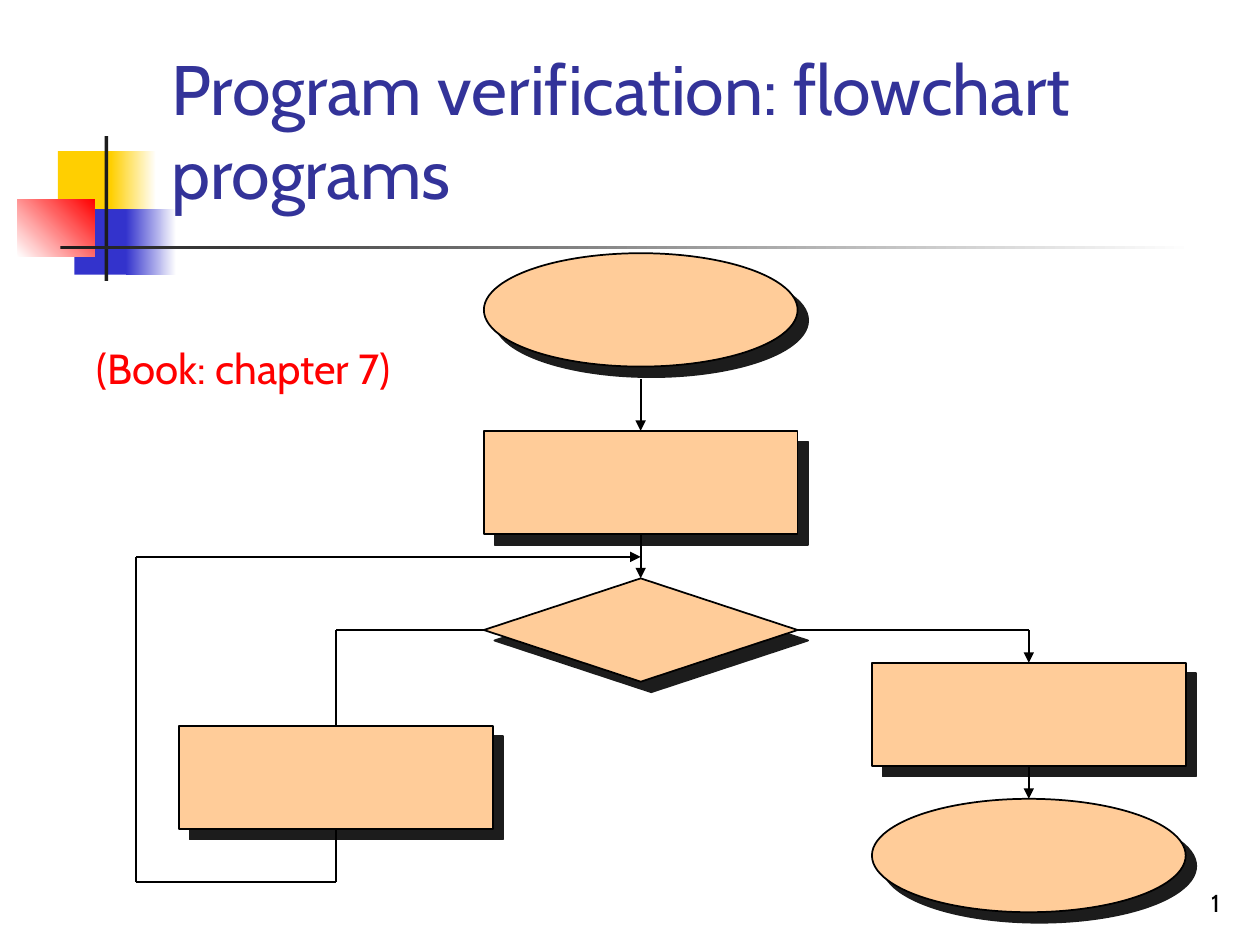
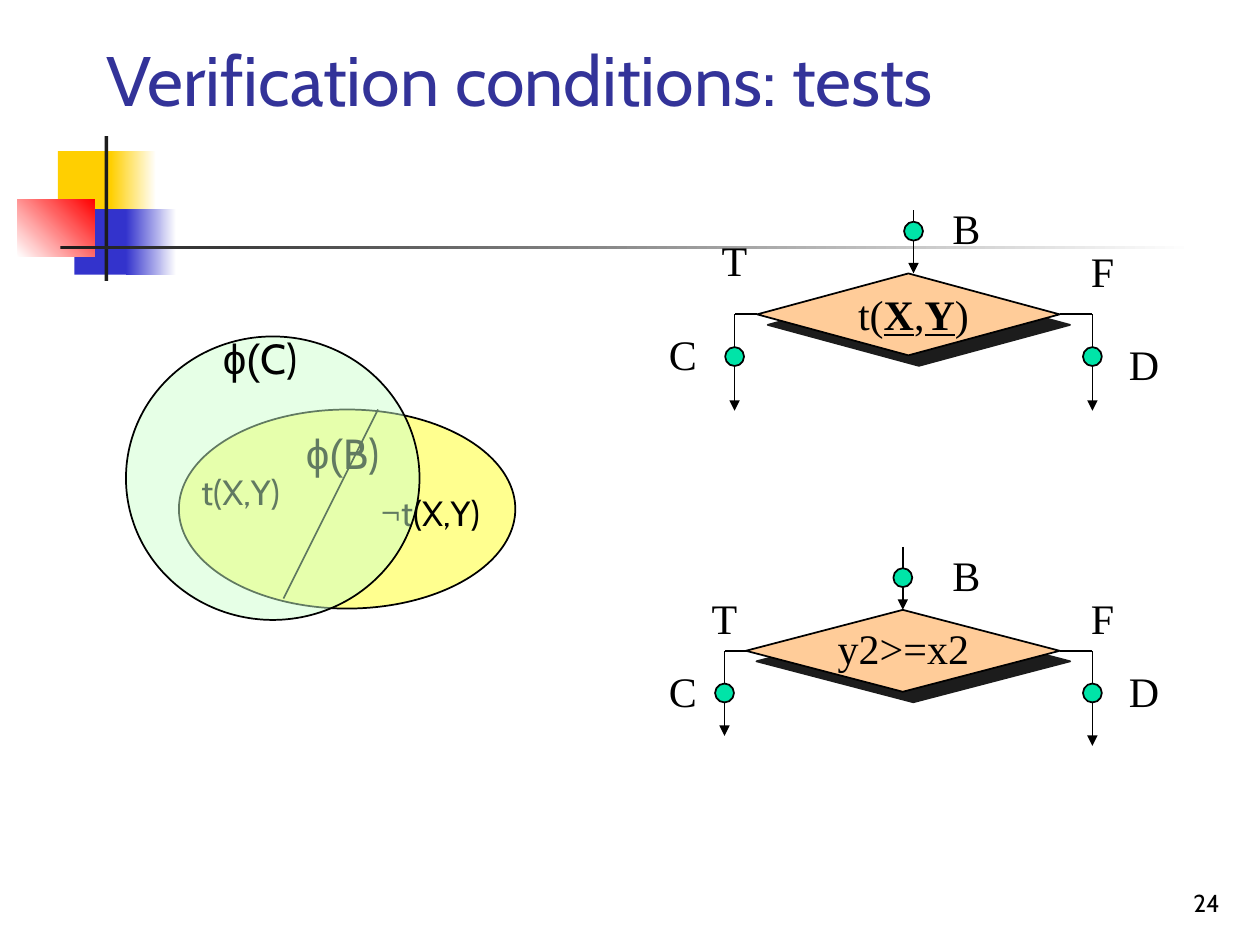
from dataclasses import dataclass
from itertools import pairwise
from typing import NamedTuple

from lxml.etree import SubElement
from pptx import Presentation
from pptx.dml.color import RGBColor
from pptx.enum.shapes import MSO_CONNECTOR, MSO_SHAPE as Preset
from pptx.enum.text import MSO_ANCHOR as Anchor, MSO_AUTO_SIZE, PP_ALIGN as Align
from pptx.oxml.ns import qn
from pptx.util import Inches, Pt

COLORS = {
    "black": "000000", "white": "FFFFFF", "ink": "1C1C1C", "title": "333399",
    "gold": "FFCF01", "blue": "3333CC", "red": "FF0000", "node": "FFCC99",
    "dot": "00E4A8", "yellow": "FFFF00", "mint": "CCFFCC",
}
SANS, SERIF, SYMBOL = "Cabin", "Times New Roman", "Arial"
NODE_WIDTH, NODE_HEIGHT, OVAL_HEIGHT = 2.49, 0.82, 0.9
TEST_HEIGHT, DOT_SIZE = 0.65, 0.15


class Box(NamedTuple):
    left: float
    top: float
    width: float
    height: float

    def lengths(self) -> list:
        return [Inches(value) for value in self]


class Run(NamedTuple):
    text: str
    font: str | None = None
    strong: bool = False


class Joint(NamedTuple):
    shape: object
    site: int  # 0 top, 1 left, 2 bottom, 3 right


class Decoration(NamedTuple):
    box: Box
    color: str
    fade_to: str | None = None
    angle: int = 0


@dataclass
class Test:
    diamond: Box
    condition: list[Run]
    condition_box: Box
    true_x: float
    true_end: float
    false_end: float
    entry_dot_top: float
    labels: dict[str, tuple[float, float]]
    entry_x: float | None = None  # None: enters at the top corner


DECORATIONS = [
    Decoration(Box(0.46, 1.2, 0.48, 0.52), "gold"),
    Decoration(Box(0.88, 1.2, 0.36, 0.52), "gold", "white"),
    Decoration(Box(0.59, 1.66, 0.46, 0.52), "blue"),
    Decoration(Box(1, 1.66, 0.4, 0.52), "blue", "white"),
    Decoration(Box(0.14, 1.58, 0.61, 0.46), "white", "red", 45),
    Decoration(Box(0.83, 1.08, 0.03, 1.15), "ink"),
    Decoration(Box(0.48, 1.95, 9, 0.03), "ink", "white"),
]
LABEL_WIDTHS = {"B": 0.42, "C": 0.42, "D": 0.44, "F": 0.38, "T": 0.4}
FALSE_X = 8.67
TESTS = [
    Test(
        Box(6.01, 2.17, 2.4, TEST_HEIGHT),
        [Run("t("), Run("X", strong=True), Run(","), Run("Y", strong=True), Run(")")],
        Box(6.71, 2.24, 1.08, 0.5),
        true_x=5.83, true_end=3.26, false_end=3.26, entry_dot_top=1.76, entry_x=7.25,
        labels={"B": (7.46, 1.56), "C": (5.21, 2.56), "D": (8.86, 2.64),
                "F": (8.56, 1.9), "T": (5.63, 1.81)},
    ),
    Test(
        Box(5.92, 4.84, NODE_WIDTH, TEST_HEIGHT),
        [Run("y2>=x2")],
        Box(6.55, 4.89, 1.24, 0.5),
        true_x=5.75, true_end=5.84, false_end=5.92, entry_dot_top=4.51,
        labels={"B": (7.46, 4.31), "C": (5.21, 5.23), "D": (8.86, 5.23),
                "F": (8.56, 4.65), "T": (5.55, 4.65)},
    ),
]


def rgb(name: str) -> RGBColor:
    return RGBColor.from_string(COLORS[name])


def add_text(shapes, box: Box, text: str | list[Run], *, font: str = SANS,
             size: float = 24, color: str = "black", align=Align.LEFT,
             anchor=Anchor.TOP, wrap: bool = True, grow: bool = True,
             spacing: float = 1.0) -> None:
    frame = shapes.add_textbox(*box.lengths()).text_frame
    frame.word_wrap = wrap
    frame.vertical_anchor = anchor
    frame.auto_size = MSO_AUTO_SIZE.SHAPE_TO_FIT_TEXT if grow else MSO_AUTO_SIZE.NONE
    paragraph = frame.paragraphs[0]
    paragraph.alignment = align
    paragraph.line_spacing = spacing
    for part in [Run(text)] if isinstance(text, str) else text:
        run = paragraph.add_run()
        run.text = part.text
        run.font.name = part.font or font
        run.font.size = Pt(size)
        run.font.color.rgb = rgb(color)
        run.font.bold = run.font.underline = part.strong


def add_figure(shapes, preset, box: Box, color: str, *, outlined: bool = True,
               shadow: bool = False, opacity: int = 100):
    shape = shapes.add_shape(preset, *box.lengths())
    shape.shadow.inherit = False
    shape.fill.solid()
    shape.fill.fore_color.rgb = rgb(color)
    if outlined:
        shape.line.color.rgb = rgb("black")
        shape.line.width = Pt(1)
    else:
        shape.line.fill.background()
    properties = shape._element.spPr
    if opacity < 100:
        fill_color = properties.find(qn("a:solidFill"))[0]
        SubElement(fill_color, qn("a:alpha"), val=str(opacity * 1000))
    if shadow:
        outer = SubElement(properties.find(qn("a:effectLst")), qn("a:outerShdw"),
                           blurRad="0", dist=str(Pt(8.5)), dir=str(45 * 60000),
                           algn="ctr", rotWithShape="0")
        SubElement(outer, qn("a:srgbClr"), val=COLORS["ink"])
    return shape


def add_route(shapes, points: list[tuple[float, float]], *, arrow: bool = False,
              begin: Joint | None = None, end: Joint | None = None) -> None:
    """Draw straight connectors from point to point, with any arrow at the end."""
    connectors = []
    for start, stop in pairwise(points):
        ends = [Inches(value) for value in (*start, *stop)]
        connector = shapes.add_connector(MSO_CONNECTOR.STRAIGHT, *ends)
        connector.line.color.rgb = rgb("black")
        connector.line.width = Pt(1)
        SubElement(connector._element.spPr, qn("a:effectLst"))
        connectors.append(connector)
    if begin:
        connectors[0].begin_connect(*begin)
    if end:
        connectors[-1].end_connect(*end)
    if arrow:
        line = connectors[-1].line._get_or_add_ln()
        SubElement(line, qn("a:tailEnd"), type="triangle")


def add_base_slide(presentation, title: str, title_box: Box, number: str):
    slide = presentation.slides.add_slide(presentation.slide_layouts[6])
    shapes = slide.shapes
    for item in DECORATIONS:
        shape = add_figure(shapes, Preset.RECTANGLE, item.box, item.color, outlined=False)
        if item.fade_to:
            shape.fill.gradient()
            shape.fill.gradient_angle = item.angle
            for stop, color in zip(shape.fill.gradient_stops, (item.color, item.fade_to)):
                stop.color.rgb = rgb(color)
    add_text(shapes, Box(7.7, 6.83, 2.08, 0.5), number, size=14, align=Align.RIGHT,
             anchor=Anchor.BOTTOM, grow=False)
    add_text(shapes, title_box, title, size=40, color="title", anchor=Anchor.MIDDLE,
             grow=False)
    return slide


def build_flowchart(presentation) -> None:
    shapes = add_base_slide(presentation, "Program verification: flowchart programs",
                            Box(1.26, 0.23, 8.52, 1.6), "1").shapes

    def add_node(preset, left: float, top: float, height: float = NODE_HEIGHT):
        return add_figure(shapes, preset, Box(left, top, NODE_WIDTH, height), "node",
                          shadow=True)

    # Nodes
    main_left, body_left, exit_left = 3.84, 1.42, 6.92
    body = add_node(Preset.RECTANGLE, body_left, 5.76)
    result = add_node(Preset.RECTANGLE, exit_left, 5.26)
    halt = add_node(Preset.OVAL, exit_left, 6.34, OVAL_HEIGHT)
    add_node(Preset.OVAL, main_left, 2.01, OVAL_HEIGHT)
    decision = add_node(Preset.DIAMOND, main_left, 4.59)
    setup = add_node(Preset.RECTANGLE, main_left, 3.42)

    # Flow lines
    main_x, body_x, exit_x = (left + NODE_WIDTH / 2
                              for left in (main_left, body_left, exit_left))
    add_route(shapes, [(main_x, 3.01), (main_x, 3.42)], arrow=True, end=Joint(setup, 0))
    add_route(shapes, [(main_x, 4.24), (main_x, 4.59)], arrow=True,
              begin=Joint(setup, 2), end=Joint(decision, 0))
    add_route(shapes, [(6.33, 5), (exit_x, 5), (exit_x, 5.26)], arrow=True,
              begin=Joint(decision, 3), end=Joint(result, 0))
    add_route(shapes, [(exit_x, 6.08), (exit_x, 6.34)], arrow=True,
              begin=Joint(result, 2), end=Joint(halt, 0))
    add_route(shapes, [(main_left, 5), (body_x, 5), (body_x, 5.76)],
              begin=Joint(decision, 1), end=Joint(body, 0))
    add_route(shapes, [(body_x, 6.58), (body_x, 7), (1.08, 7), (1.08, 4.42),
                       (main_x, 4.42)], arrow=True, begin=Joint(body, 2))

    add_text(shapes, Box(0.67, 2.67, 3.08, 0.5), "(Book: chapter 7)", color="red")


def add_test(shapes, test: Test) -> None:
    left, top, width, height = test.diamond
    diamond = add_figure(shapes, Preset.DIAMOND, test.diamond, "node", shadow=True)
    middle = top + height / 2

    # Entry and the two exits
    entry_x = test.entry_x or left + width / 2
    add_route(shapes, [(entry_x, top - 0.5), (entry_x, top)], arrow=True,
              end=None if test.entry_x else Joint(diamond, 0))
    add_route(shapes, [(left, middle), (test.true_x, middle),
                       (test.true_x, test.true_end)],
              arrow=True, begin=Joint(diamond, 1))
    add_route(shapes, [(left + width, middle), (FALSE_X, middle),
                       (FALSE_X, test.false_end)],
              arrow=True, begin=Joint(diamond, 3))

    # Control points and labels
    exit_dot_top = top + 0.585
    for x, dot_top in ((FALSE_X, exit_dot_top), (test.true_x, exit_dot_top),
                       (entry_x, test.entry_dot_top)):
        dot = Box(x - DOT_SIZE / 2, dot_top, DOT_SIZE, DOT_SIZE)
        add_figure(shapes, Preset.OVAL, dot, "dot")
    add_text(shapes, test.condition_box, test.condition, font=SERIF,
             align=Align.CENTER, wrap=False)
    for letter, place in test.labels.items():
        add_text(shapes, Box(*place, LABEL_WIDTHS[letter], 0.5), letter, font=SERIF,
                 align=Align.CENTER, wrap=False)


def build_tests(presentation) -> None:
    shapes = add_base_slide(presentation, "Verification conditions: tests",
                            Box(0.75, 0, 8.5, 1.25), "24").shapes
    for test in TESTS:
        add_test(shapes, test)

    # States at B, split by the test
    before = shapes.add_group_shape().shapes
    add_figure(before, Preset.OVAL, Box(1.42, 3.25, 2.67, 1.58), "yellow", opacity=44)
    add_route(before, [(3, 3.25), (2.25, 4.75)])
    add_text(before, Box(1.5, 3.75, 1, 0.36), "t(X,Y)", size=20, spacing=0.8)
    add_text(before, Box(2.92, 3.92, 1.25, 0.36), "¬t(X,Y)", size=20, spacing=0.8)
    add_text(before, Box(2.33, 3.42, 1, 0.42), [Run("ϕ(", SYMBOL), Run("B)")], spacing=0.8)

    # States at C
    after = shapes.add_group_shape().shapes
    add_figure(after, Preset.OVAL, Box(1, 2.67, 2.33, 2.25), "mint", opacity=48)
    add_text(after, Box(1.67, 2.67, 0.92, 0.42), [Run("ϕ(", SYMBOL), Run("C)")], spacing=0.8)


def main() -> None:
    presentation = Presentation()
    presentation.slide_width, presentation.slide_height = Inches(10), Inches(7.5)
    build_flowchart(presentation)
    build_tests(presentation)
    presentation.save("out.pptx")


if __name__ == "__main__":
    main()
